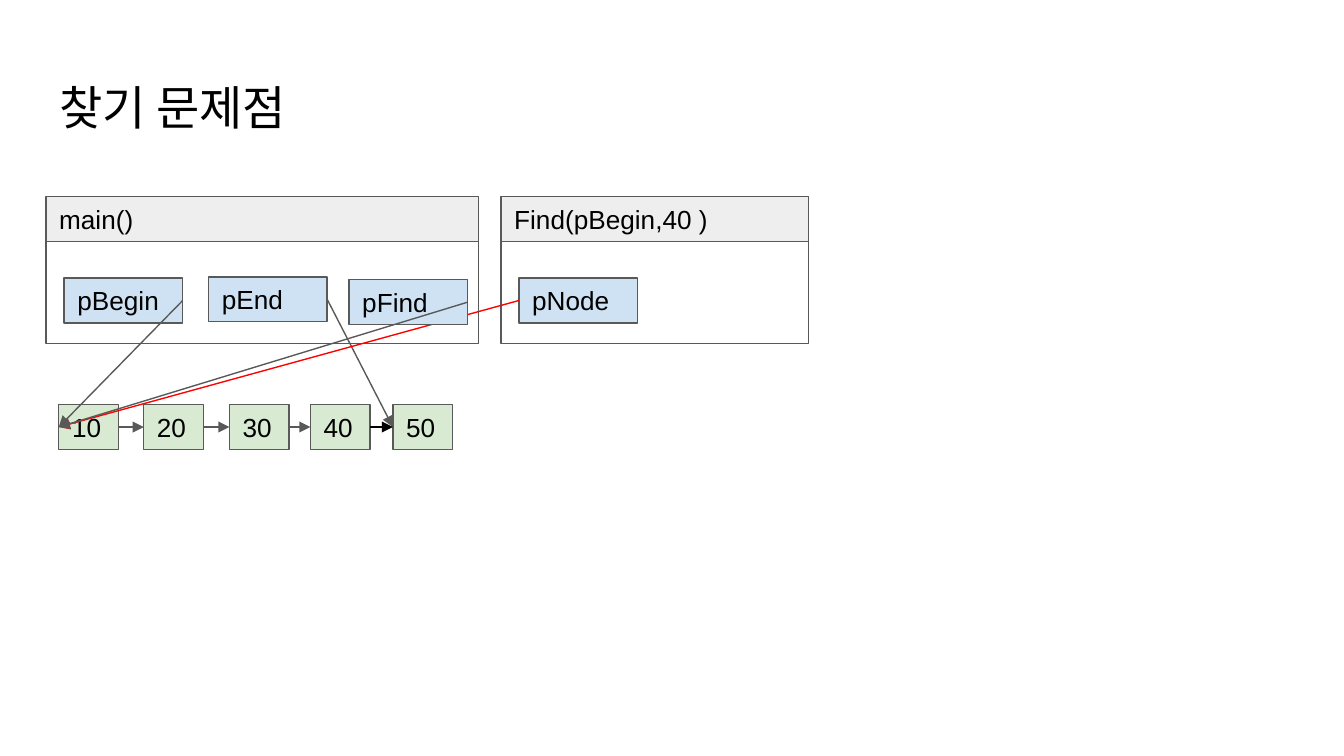
from itertools import pairwise

from lxml.etree import SubElement
from pptx import Presentation
from pptx.dml.color import RGBColor
from pptx.enum.shapes import MSO_CONNECTOR as Connector, MSO_SHAPE as Shape
from pptx.enum.text import MSO_ANCHOR as Anchor, MSO_AUTO_SIZE as AutoSize, PP_ALIGN as Align
from pptx.oxml.ns import qn
from pptx.util import Pt

TITLE = "찾기 문제점"
# name: (heading, left, width, [(pointer, left, top)])
FRAMES = {
    "main": ("main()", 24.6, 231.7, [("pBegin", 34.4, 149), ("pEnd", 111.8, 148.4)]),
    "find": ("Find(pBegin,40 )", 268.4, 164.8, [("pNode", 278, 149)]),
}
FOUND = ("pFind", 187, 149.9)
NODES = [("10", 31.5), ("20", 77), ("30", 122.9), ("40", 166.3), ("50", 210.5)]

FRAME_TOP, HEADING_HEIGHT, BODY_HEIGHT = 105.2, 24.2, 54.6
POINTER_WIDTH, NODE_WIDTH, BOX_HEIGHT = 63.5, 32, 24
NODE_TOP = 216.8
LEFT_SIDE, RIGHT_SIDE = 1, 3

THEME = {
    "font": "Arial", "title": 25.2, "label": 14, "line_width": 0.75, "inset": 7.2,
    "ink": "000000", "line": "595959", "heading": "EEEEEE", "body": "FFFFFF",
    "pointer": "CFE2F3", "node": "D9EAD3", "search": "FF0000",
}


def color(name):
    return RGBColor.from_string(THEME[name])


def write(shape, text, size="label", anchor=Anchor.MIDDLE):
    frame = shape.text_frame
    frame.word_wrap = True
    frame.auto_size = AutoSize.NONE
    frame.vertical_anchor = anchor
    frame.margin_left = frame.margin_right = Pt(THEME["inset"])
    frame.margin_top = frame.margin_bottom = Pt(THEME["inset"])
    paragraph = frame.paragraphs[0]
    paragraph.alignment = Align.LEFT
    run = paragraph.add_run()
    run.text = text
    run.font.name = THEME["font"]
    run.font.size = Pt(THEME[size])
    run.font.color.rgb = color(ink := "ink")


def add_box(shapes, left, top, width, height, fill, text=None):
    box = shapes.add_shape(Shape.RECTANGLE, Pt(left), Pt(top), Pt(width), Pt(height))
    box.shadow.inherit = False
    box.fill.solid()
    box.fill.fore_color.rgb = color(fill)
    box.line.color.rgb = color("line")
    box.line.width = Pt(THEME["line_width"])
    if text:
        write(box, text)
    return box


def add_pointer(shapes, name, left, top):
    return add_box(shapes, left, top, POINTER_WIDTH, BOX_HEIGHT, "pointer", name)


def add_frame(shapes, heading, left, width, pointers):
    """Draw one call frame as a group and return its pointer boxes by name."""
    group = shapes.add_group_shape().shapes
    add_box(group, left, FRAME_TOP, width, HEADING_HEIGHT, "heading", heading)
    add_box(group, left, FRAME_TOP + HEADING_HEIGHT, width, BODY_HEIGHT, "body")
    return {pointer[0]: add_pointer(group, *pointer) for pointer in pointers}


def add_arrow(shapes, start, end, side=RIGHT_SIDE, line="line"):
    """Join a side of start to the left side of end."""
    arrow = shapes.add_connector(Connector.STRAIGHT, 0, 0, 0, 0)
    arrow.begin_connect(start, side)
    arrow.end_connect(end, LEFT_SIDE)
    arrow.line.color.rgb = color(line)
    arrow.line.width = Pt(THEME["line_width"])
    SubElement(arrow.line._get_or_add_ln(), qn("a:tailEnd"), type="triangle")
    SubElement(arrow._element.spPr, qn("a:effectLst"))


def main():
    presentation = Presentation()
    presentation.slide_width, presentation.slide_height = Pt(720), Pt(405)
    slide = presentation.slides.add_slide(presentation.slide_layouts[5])
    shapes = slide.shapes

    title = shapes.title
    title.left, title.top, title.width, title.height = Pt(24.5), Pt(35), Pt(671), Pt(45)
    write(title, TITLE, size="title", anchor=Anchor.TOP)

    pointers = add_frame(shapes, *FRAMES["main"])
    nodes = [add_box(shapes, left, NODE_TOP, NODE_WIDTH, BOX_HEIGHT, "node", value)
             for value, left in NODES]
    first, last = nodes[0], nodes[-1]
    add_arrow(shapes, pointers["pBegin"], first)
    add_arrow(shapes, pointers["pEnd"], last)
    for node, following in pairwise(nodes):
        add_arrow(shapes, node, following, line="ink" if following is last else "line")

    pointers |= add_frame(shapes, *FRAMES["find"])
    add_arrow(shapes, pointers["pNode"], first, side=LEFT_SIDE, line="search")
    found = add_pointer(shapes, *FOUND)
    add_arrow(shapes, found, first)

    presentation.save("out.pptx")


if __name__ == "__main__":
    main()
